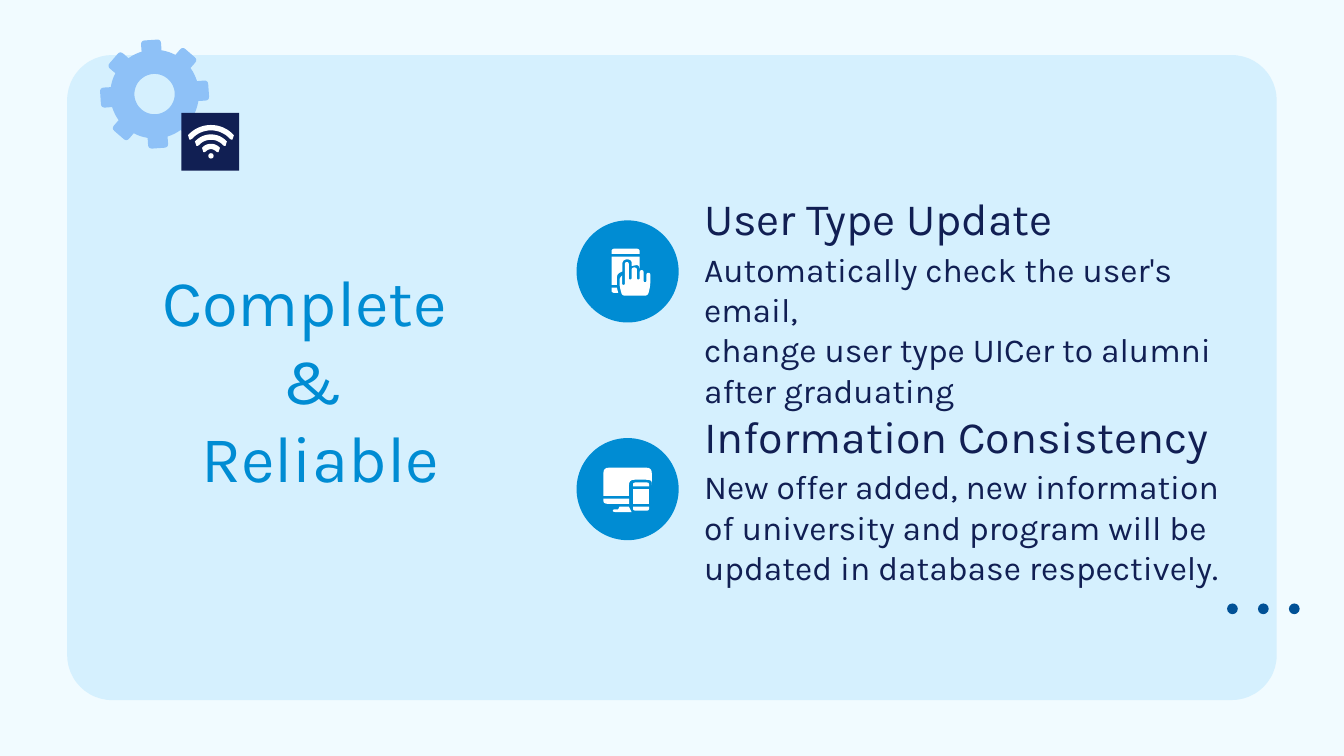
"""Build the "Complete & Reliable" feature slide."""
import math

import pptx
import pptx.dml.color
import pptx.enum.shapes
import pptx.enum.text
import pptx.util

Inches = pptx.util.Inches
Shapes = pptx.enum.shapes.MSO_SHAPE
Anchor = pptx.enum.text.MSO_ANCHOR
Align = pptx.enum.text.PP_ALIGN

THEME = {
    "font": "Karla",
    "page": "F1FBFF", "panel": "D5F0FE", "gear": "8EC1F7", "navy": "111F53",
    "dots": "015196", "accent": "008CD3", "icon": "FFFFFF",
    "title": 35, "heading": 24, "body": 18,
}

TITLE = "Complete \v&\v Reliable"

PHONE_ICON = [
    [(4.55, 2.14), (4.59, 2.14), (4.6, 2.18), (4.55, 2.18, 0.03)],
    [(4.55, 1.91), (4.76, 1.91), (4.76, 2), (4.75, 1.97, 0.02), (4.7, 1.98),
     (4.7, 1.93, 0.04), (4.63, 1.93, 0.04), (4.63, 2.02), (4.59, 2.04, 0.03),
     (4.59, 2.12), (4.55, 2.12)],
    [(4.55, 1.89), (4.55, 1.85, 0.03), (4.76, 1.85, 0.03), (4.76, 1.89)],
    [(4.65, 1.95, 0.02), (4.68, 1.95, 0.02), (4.68, 2.08, 0.01), (4.7, 2.08, 0.01),
     (4.7, 1.99, 0.02), (4.74, 1.99, 0.02), (4.74, 2.08, 0.01), (4.76, 2.08, 0.01),
     (4.76, 2.01, 0.02), (4.79, 2.01, 0.02), (4.79, 2.1, 0.01), (4.81, 2.1, 0.01),
     (4.81, 2.03, 0.02), (4.84, 2.03, 0.02), (4.84, 2.13, 0.05), (4.82, 2.2, 0.02),
     (4.63, 2.2, 0.02), (4.61, 2.13, 0.05), (4.61, 2.07, 0.02), (4.63, 2.05),
     (4.63, 2.12, 0.01), (4.65, 2.12, 0.01)],
]

SCREEN_ICON = [
    [(4.61, 3.77), (4.68, 3.77), (4.7, 3.81), (4.56, 3.81, 0.02),
     (4.56, 3.79, 0.02), (4.6, 3.79)],
    [(4.49, 3.71), (4.68, 3.71), (4.68, 3.75), (4.49, 3.75, 0.04)],
    [(4.71, 3.64), (4.83, 3.64), (4.83, 3.75), (4.71, 3.75)],
    [(4.71, 3.77), (4.83, 3.77), (4.83, 3.8, 0.02), (4.71, 3.8, 0.02)],
    [(4.49, 3.69), (4.49, 3.48, 0.04), (4.85, 3.48, 0.04), (4.85, 3.61),
     (4.85, 3.57, 0.04), (4.68, 3.57, 0.04), (4.68, 3.69)],
    [(4.71, 3.62), (4.71, 3.59, 0.02), (4.83, 3.59, 0.02), (4.83, 3.62)],
]

FEATURES = [
    ("User Type Update",
     ["Automatically check the user's email,",
      "change user type UICer to alumni after graduating"], PHONE_ICON),
    ("Information Consistency",
     ["New offer added, new information of university and program will be "
      "updated in database respectively."], SCREEN_ICON),
]


def color(name):
    return pptx.dml.color.RGBColor.from_string(THEME[name])


def paint(shape, fill):
    shape.shadow.inherit = False
    shape.fill.solid()
    shape.fill.fore_color.rgb = color(fill)
    shape.line.fill.background()
    return shape


def add_preset(page, kind, place, fill):
    return paint(page.shapes.add_shape(kind, *map(Inches, place)), fill)


def polar(center, radius, degrees):
    angle = math.radians(degrees)
    return center[0] + radius * math.sin(angle), center[1] - radius * math.cos(angle)


def toward(start, end, length):
    share = min(length / math.dist(start, end), 0.5)
    return tuple(a + (b - a) * share for a, b in zip(start, end))


def round_corners(corners):
    points = []
    for index, (x, y, *radius) in enumerate(corners):
        if not radius:
            points.append((x, y))
            continue
        before = toward((x, y), corners[index - 1][:2], radius[0])
        after = toward((x, y), corners[(index + 1) % len(corners)][:2], radius[0])
        for t in (0, 0.25, 0.5, 0.75, 1):
            points.append(tuple((1 - t) ** 2 * a + 2 * t * (1 - t) * m + t * t * b
                                for a, m, b in zip(before, (x, y), after)))
    return points


def add_outline(page, contours, fill):
    builder = None
    for contour in contours:
        points = [(Inches(x), Inches(y)) for x, y in round_corners(contour)]
        if builder is None:
            builder = page.shapes.build_freeform(*points[0], scale=1.0)
        else:
            builder.move_to(*points[0])
        builder.add_line_segments(points[1:], close=True)
    return paint(builder.convert_to_shape(), fill)


def gear_contours(center, tilt=-4):
    rim = []
    for tooth in range(8):
        middle = tilt + 45 * tooth
        rim += [polar(center, 0.33, middle - 13),
                (*polar(center, 0.41, middle - 10.5), 0.03),
                (*polar(center, 0.41, middle + 10.5), 0.03)]
        rim += [polar(center, 0.33, middle + step) for step in (13, 18, 22.5, 27)]
    hole = [polar(center, 0.15, degrees) for degrees in range(0, 360, 6)]
    return [rim, hole]


def wave_contour(center, radius, half_angle=48, half_width=0.02):
    sweep = range(-half_angle, half_angle + 1, 6)
    outer = [polar(center, radius + half_width, degrees) for degrees in sweep]
    inner = [polar(center, radius - half_width, degrees) for degrees in reversed(sweep)]
    caps = [[polar(polar(center, radius, side * half_angle), half_width,
                   side * half_angle + turn) for turn in turns]
            for side, turns in ((1, range(120, 180, 30)), (-1, range(-150, -90, 30)))]
    return outer + caps[0] + inner + caps[1]


def write(box, place, paragraphs, *, size, fill="navy", align=Align.LEFT,
          anchor=Anchor.TOP):
    box.left, box.top, box.width, box.height = map(Inches, place)
    frame = box.text_frame
    frame.word_wrap = True
    frame.auto_size = pptx.enum.text.MSO_AUTO_SIZE.NONE
    frame.vertical_anchor = anchor
    frame.margin_left = frame.margin_right = Inches(0.1)
    frame.margin_top = frame.margin_bottom = Inches(0.1)
    for index, text in enumerate(paragraphs):
        para = frame.add_paragraph() if index else frame.paragraphs[0]
        para.text = text
        para.alignment = align
        for span in para.runs:
            span.font.name = THEME["font"]
            span.font.size = pptx.util.Pt(THEME[size])
            span.font.color.rgb = color(fill)


def add_text(page, place, paragraphs, **style):
    write(page.shapes.add_textbox(*map(Inches, place)), place, paragraphs, **style)


def add_decoration(page):
    panel = add_preset(page, Shapes.ROUNDED_RECTANGLE, (0.5, 0.41, 9, 4.8), "panel")
    panel.adjustments[0] = 0.07
    add_outline(page, gear_contours((1.15, 0.7)), "gear")
    add_preset(page, Shapes.RECTANGLE, (1.35, 0.84, 0.43, 0.43), "navy")
    signal = (1.57, 1.16)
    add_outline(page, [wave_contour(signal, r) for r in (0.21, 0.14, 0.07)], "icon")
    add_preset(page, Shapes.OVAL, (1.55, 1.14, 0.04, 0.04), "icon")
    for index in range(3):
        add_preset(page, Shapes.OVAL, (9.59 - 0.23 * index, 4.49, 0.08, 0.08), "dots")


def main():
    deck = pptx.Presentation()
    deck.slide_width = Inches(10)
    deck.slide_height = deck.slide_width * 9 // 16
    page = deck.slides.add_slide(deck.slide_layouts[5])
    page.background.fill.solid()
    page.background.fill.fore_color.rgb = color("page")
    add_decoration(page)
    title = page.shapes.title
    title.element.getparent().append(title.element)
    write(title, (0.78, 1.84, 3.09, 1.95), [TITLE], size="title", fill="accent",
          align=Align.CENTER)
    for index, (heading, body, icon) in enumerate(FEATURES):
        top = 1.37 + 1.62 * index
        add_text(page, (5.14, top + 0.38, 4.08, 0.89), body, size="body")
        add_text(page, (5.14, top, 4.08, 0.55), [heading], size="heading",
                 anchor=Anchor.BOTTOM)
        add_preset(page, Shapes.OVAL, (4.29, top + 0.27, 0.76, 0.76), "accent")
        for part in icon:
            add_outline(page, [part], "icon")
    deck.save("out.pptx")


if __name__ == "__main__":
    main()
